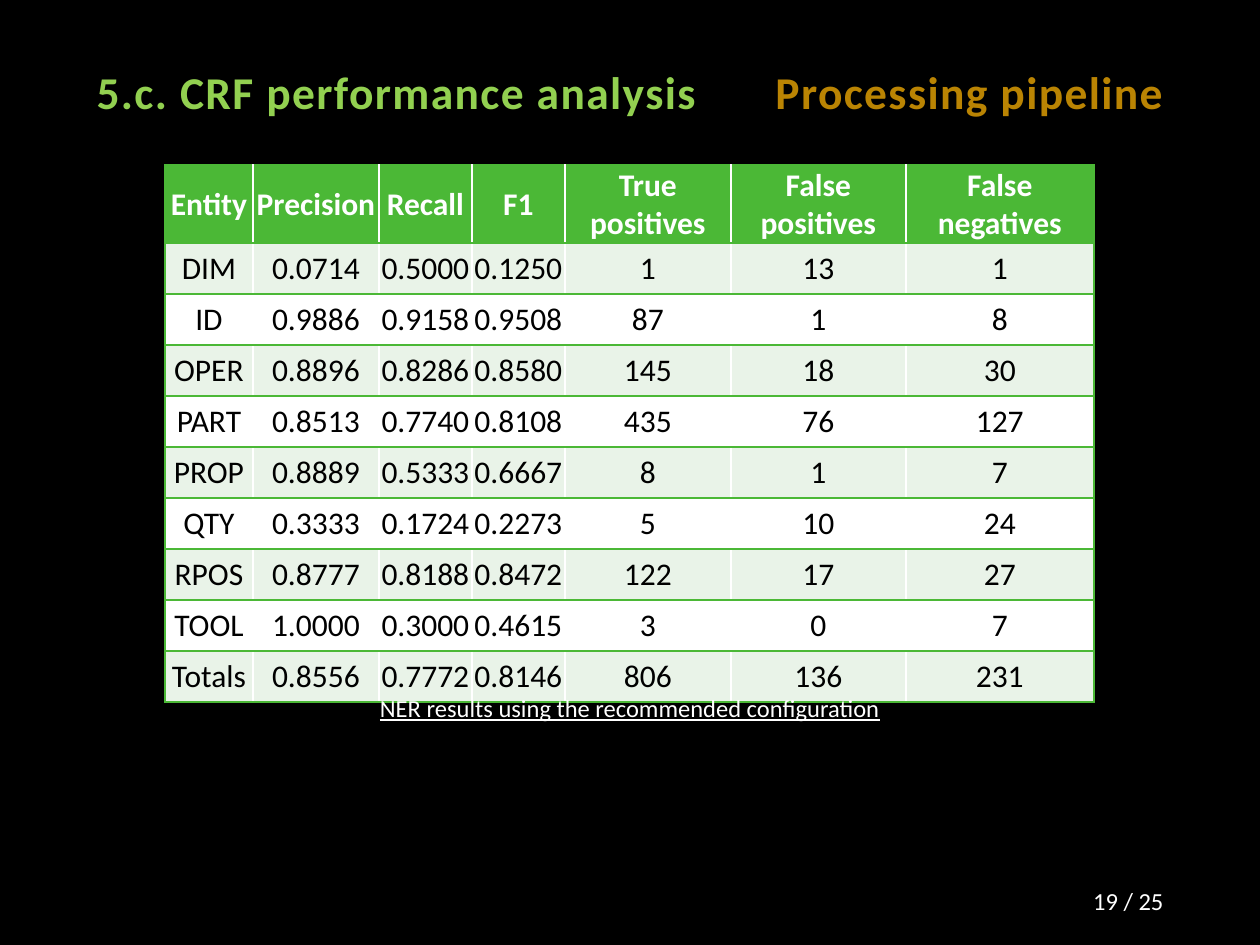
from lxml import etree
from pptx import Presentation
from pptx import util as u
from pptx.dml.color import RGBColor
from pptx.enum import text
from pptx.oxml import ns

FONT = "Calibri"
COLORS = {
    "background": "000000",
    "title": "92D050",
    "section": "BA8403",
    "light": "FFFFFF",
    "dark": "000000",
    "accent": "4BB836",
    "band": "E9F3E8",
}
HEADERS = ["Entity", "Precision", "Recall", "F1",
           "True positives", "False positives", "False negatives"]
RESULTS = [
    ["DIM", "0.0714", "0.5000", "0.1250", "1", "13", "1"],
    ["ID", "0.9886", "0.9158", "0.9508", "87", "1", "8"],
    ["OPER", "0.8896", "0.8286", "0.8580", "145", "18", "30"],
    ["PART", "0.8513", "0.7740", "0.8108", "435", "76", "127"],
    ["PROP", "0.8889", "0.5333", "0.6667", "8", "1", "7"],
    ["QTY", "0.3333", "0.1724", "0.2273", "5", "10", "24"],
    ["RPOS", "0.8777", "0.8188", "0.8472", "122", "17", "27"],
    ["TOOL", "1.0000", "0.3000", "0.4615", "3", "0", "7"],
    ["Totals", "0.8556", "0.7772", "0.8146", "806", "136", "231"],
]
COLUMN_WIDTHS = [88, 126, 93, 93, 166, 175, 188]
ROW_HEIGHT = 51


def px(value):
    return u.Emu(round(value * 914400 / 126))


def color(name):
    return RGBColor.from_string(COLORS[name])


def write(frame, words, *, size, fill, align="LEFT", anchor="TOP", bold=False,
          underline=False, line_spacing=None, tracking=None):
    frame.word_wrap = True
    frame.vertical_anchor = text.MSO_ANCHOR[anchor]
    para = frame.paragraphs[0]
    para.alignment = text.PP_ALIGN[align]
    if line_spacing:
        para.line_spacing = line_spacing
    span = para.add_run()
    span.text = words
    span.font.name = FONT
    span.font.size = u.Pt(size)
    span.font.bold = bold
    span.font.underline = underline
    span.font.color.rgb = color(fill)
    if tracking:
        span.font._element.set("spc", str(round(tracking * 100)))


def add_title(page, words, area, **style):
    box = page.shapes.title
    box.left, box.top, box.width, box.height = map(px, area)
    box.text_frame.auto_size = text.MSO_AUTO_SIZE.NONE
    write(box.text_frame, words, **style)


def add_label(page, words, area, grow=False, **style):
    box = page.shapes.add_textbox(*map(px, area))
    if grow:
        box.text_frame.auto_size = text.MSO_AUTO_SIZE.SHAPE_TO_FIT_TEXT
    write(box.text_frame, words, **style)


def add_borders(cell, sides):
    properties = cell._tc.get_or_add_tcPr()
    for side in sides:
        line = etree.SubElement(properties, ns.qn(f"a:ln{side}"), w=str(u.Pt(1)))
        solid = etree.SubElement(line, ns.qn("a:solidFill"))
        etree.SubElement(solid, ns.qn("a:srgbClr"), val=COLORS["accent"])


def format_cell(cell, words, sides, background, **style):
    cell.margin_left = cell.margin_right = cell.margin_top = px(1)
    cell.margin_bottom = 0
    add_borders(cell, sides)
    cell.fill.solid()
    cell.fill.fore_color.rgb = color(background)
    write(cell.text_frame, words, size=18, align="CENTER", **style)
    cell.vertical_anchor = text.MSO_ANCHOR.MIDDLE


def add_results_table(page, left, top):
    rows = [HEADERS] + RESULTS
    table = page.shapes.add_table(
        len(rows), len(HEADERS), px(left), px(top),
        px(sum(COLUMN_WIDTHS)), px(ROW_HEIGHT * len(rows))).table
    table.first_row = table.horz_banding = False
    for column, width in zip(table.columns, COLUMN_WIDTHS):
        column.width = px(width)
    last = len(HEADERS) - 1
    for r, values in enumerate(rows):
        table.rows[r].height = px(ROW_HEIGHT)
        header = r == 0
        background = "accent" if header else "band" if r % 2 else "light"
        for c, words in enumerate(values):
            sides = ("L" if c == 0 else "") + ("R" if c == last else "") + "TB"
            format_cell(table.cell(r, c), words, sides, background,
                        fill="light" if header else "dark", bold=header)


def main():
    deck = Presentation()
    deck.slide_width, deck.slide_height = px(1260), px(945)
    page = deck.slides.add_slide(deck.slide_layouts.get_by_name("Title Only"))
    page.background.fill.solid()
    page.background.fill.fore_color.rgb = color("background")

    heading = dict(size=26, bold=True, anchor="BOTTOM", line_spacing=0.9, tracking=0.8)
    add_title(page, "5.c. CRF performance analysis", (84, 53, 704, 73),
              fill="title", **heading)
    add_results_table(page, 165, 165)
    add_label(page, "Processing pipeline", (669, 53, 507, 73),
              fill="section", align="RIGHT", **heading)
    add_label(page, "19 / 25", (1047, 882, 129, 38),
              size=14, fill="light", align="RIGHT", anchor="MIDDLE")
    add_label(page, "NER results using the recommended configuration",
              (159, 690, 942, 39), grow=True, size=14, fill="light",
              align="CENTER", underline=True, line_spacing=0.9)
    deck.save("out.pptx")


if __name__ == "__main__":
    main()
